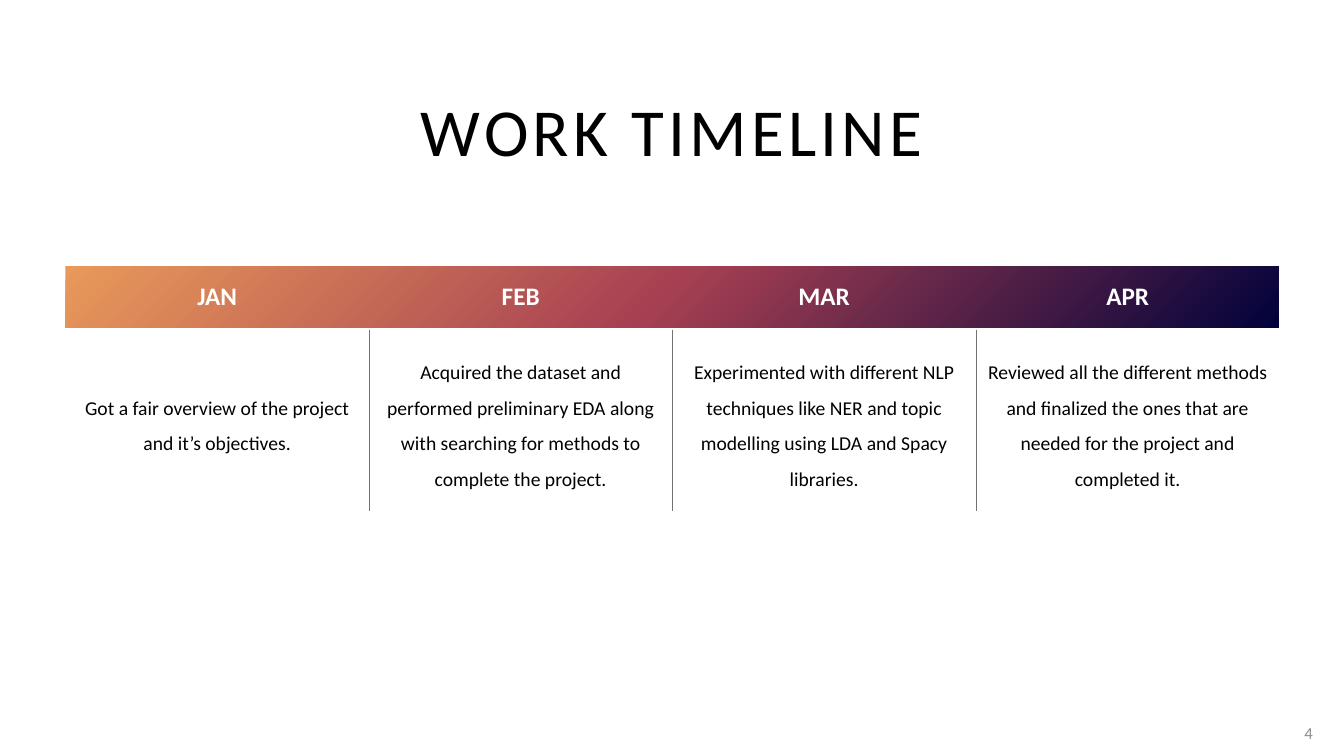
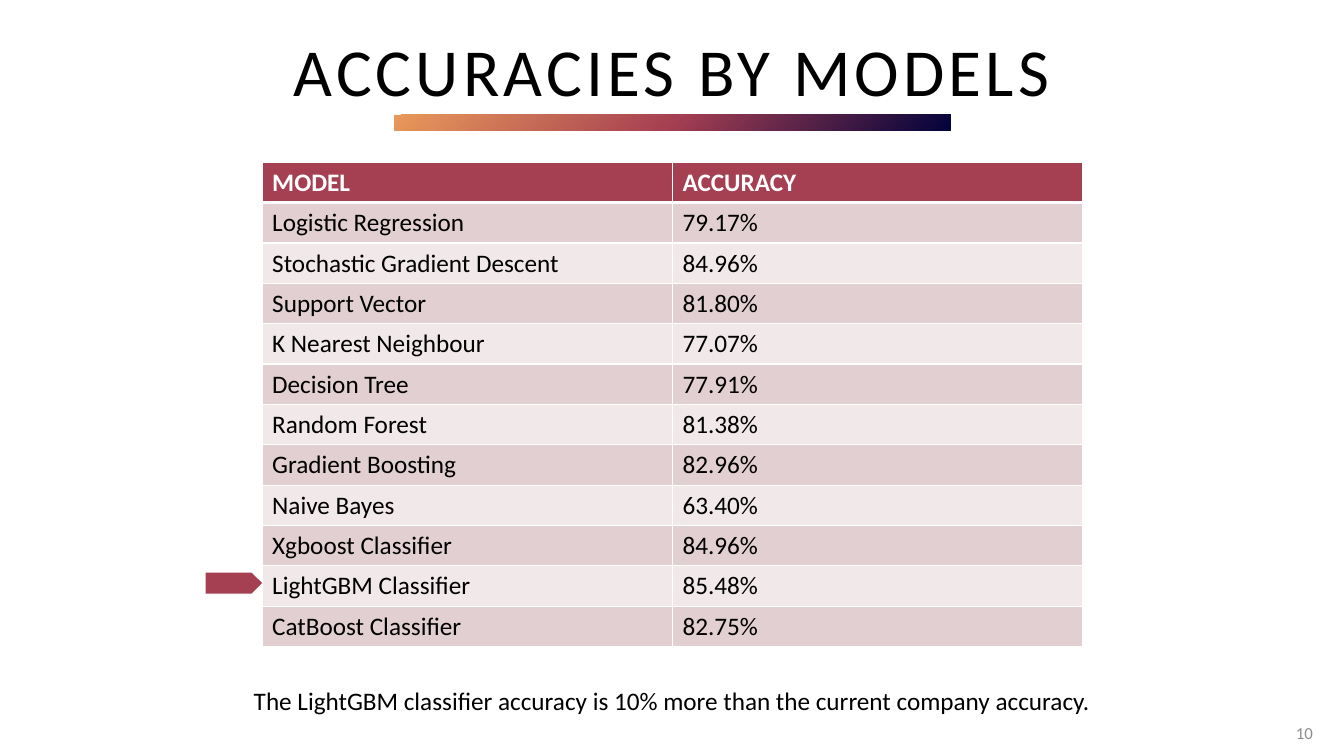
from lxml import etree
from pptx import Presentation
from pptx import util as u
from pptx.dml.color import RGBColor
from pptx.enum import shapes, text
from pptx.oxml.ns import nsdecls, qn

PX = 9144
FONT = "Calibri"
NAVY = RGBColor(0x01, 0x02, 0x3B)
CRIMSON = RGBColor(0xA5, 0x3F, 0x52)
ORANGE = RGBColor(0xE9, 0x99, 0x5A)
ROSE = RGBColor(0xE1, 0xCF, 0xD1)
PALE_ROSE = RGBColor(0xF0, 0xE8, 0xE9)
BLACK = RGBColor(0, 0, 0)
WHITE = RGBColor(0xFF, 0xFF, 0xFF)
RULE_GREY = RGBColor(0x76, 0x71, 0x71)
NUMBER_GREY = RGBColor(0x8C, 0x8C, 0x8C)
PLAIN_TABLE = "{2D5ABB26-0587-4C30-8999-92F81FD0307C}"

CENTER = text.PP_ALIGN.CENTER
LEFT = text.PP_ALIGN.LEFT
RIGHT = text.PP_ALIGN.RIGHT
MIDDLE = text.MSO_ANCHOR.MIDDLE
TOP = text.MSO_ANCHOR.TOP

TIMELINE = [
    ("JAN", "Got a fair overview of the project and it’s objectives."),
    ("FEB", "Acquired the dataset and performed preliminary EDA along with "
            "searching for methods to complete the project."),
    ("MAR", "Experimented with different NLP techniques like NER and topic "
            "modelling using LDA and Spacy libraries."),
    ("APR", "Reviewed all the different methods and finalized the ones that "
            "are needed for the project and completed it."),
]
ACCURACIES = [
    ("MODEL", "ACCURACY"),
    ("Logistic Regression", "79.17%"),
    ("Stochastic Gradient Descent", "84.96%"),
    ("Support Vector", "81.80%"),
    ("K Nearest Neighbour", "77.07%"),
    ("Decision Tree", "77.91%"),
    ("Random Forest", "81.38%"),
    ("Gradient Boosting", "82.96%"),
    ("Naive Bayes", "63.40%"),
    ("Xgboost Classifier", "84.96%"),
    ("LightGBM Classifier", "85.48%"),
    ("CatBoost Classifier", "82.75%"),
]


def px(*lengths):
    return [u.Emu(length * PX) for length in lengths]


def write(frame, words, size, color, align=LEFT, bold=False, spacing=None):
    paragraph = frame.paragraphs[0]
    paragraph.alignment = align
    paragraph.line_spacing = spacing
    font = paragraph.font
    font.name, font.size, font.bold = FONT, u.Pt(size), bold
    font.color.rgb = color
    run = paragraph.add_run()
    run.text = words
    return run


def add_text(slide, box, words, size, color, align, anchor=MIDDLE):
    frame = slide.shapes.add_textbox(*px(*box)).text_frame
    frame.word_wrap = True
    frame.vertical_anchor = anchor
    return write(frame, words, size, color, align)


def add_title(slide, top, words):
    title = add_text(slide, (65, top, 1203, 90), words, 48, BLACK, CENTER)
    title.font._element.set("spc", "300")


def add_page_number(slide, number):
    add_text(slide, (1263, 707, 49, 40), str(number), 12, NUMBER_GREY, RIGHT)


def add_block(slide, preset, box, color):
    block = slide.shapes.add_shape(preset, *px(*box))
    block.shadow.inherit = False
    block.fill.solid()
    block.fill.fore_color.rgb = color
    block.line.fill.background()
    return block


def add_gradient_band(slide, box):
    band = add_block(slide, shapes.MSO_SHAPE.RECTANGLE, box, CRIMSON)
    stops = "".join(
        f'<a:gs pos="{position}"><a:srgbClr val="{color}"/></a:gs>'
        for position, color in ((0, NAVY), (50000, CRIMSON), (100000, ORANGE)))
    gradient = etree.fromstring(
        f'<a:gradFill {nsdecls("a")} rotWithShape="1"><a:gsLst>{stops}</a:gsLst>'
        '<a:path path="circle"><a:fillToRect l="100000" t="100000"/></a:path>'
        '<a:tileRect r="-100000" b="-100000"/></a:gradFill>')
    properties = band._element.spPr
    properties.replace(properties.find(qn("a:solidFill")), gradient)


def add_plain_table(slide, left, top, column_width, columns, row_heights):
    box = px(left, top, column_width * columns, sum(row_heights))
    table = slide.shapes.add_table(len(row_heights), columns, *box).table
    table._tbl.tblPr.find(qn("a:tableStyleId")).text = PLAIN_TABLE
    for column in table.columns:
        column.width = u.Emu(column_width * PX)
    for row, height in zip(table.rows, row_heights):
        row.height = u.Emu(height * PX)
    return table


def set_borders(cell, color, widths):
    properties = cell._tc.get_or_add_tcPr()
    sides = [side for side in "LRTB" if side in widths]
    for index, side in enumerate(sides):
        properties.insert(index, etree.fromstring(
            f'<a:ln{side} {nsdecls("a")} w="{u.Pt(widths[side])}"><a:solidFill>'
            f'<a:srgbClr val="{color}"/></a:solidFill></a:ln{side}>'))


def build_timeline(slide):
    add_gradient_band(slide, (65, 264, 1203, 61))
    add_title(slide, 84, "WORK TIMELINE")
    table = add_plain_table(slide, 65, 263, 301, len(TIMELINE), (64, 180))
    last = len(TIMELINE) - 1
    for column, (month, work) in enumerate(TIMELINE):
        heading, body = table.cell(0, column), table.cell(1, column)
        for cell in (heading, body):
            cell.vertical_anchor = MIDDLE
            cell.fill.background()
        write(heading.text_frame, month, 18, WHITE, CENTER, bold=True)
        write(body.text_frame, work, 14, BLACK, CENTER, spacing=1.5)
        rules = {}
        if column > 0:
            rules["L"] = 0.25
        if column < last:
            rules["R"] = 0.25
        set_borders(body, RULE_GREY, rules)
    add_page_number(slide, 4)


def build_accuracies(slide):
    add_gradient_band(slide, (391, 114, 552, 16))
    add_title(slide, 24, "ACCURACIES BY MODELS")
    add_page_number(slide, 10)
    table = add_plain_table(slide, 260, 161, 407, 2, [40] * len(ACCURACIES))
    for row, entries in enumerate(ACCURACIES):
        header = row == 0
        fill = CRIMSON if header else (PALE_ROSE, ROSE)[row % 2]
        for column, entry in enumerate(entries):
            cell = table.cell(row, column)
            cell.vertical_anchor = TOP if header else MIDDLE
            cell.fill.solid()
            cell.fill.fore_color.rgb = fill
            write(cell.text_frame, entry, 18, WHITE if header else BLACK,
                  bold=header)
            set_borders(cell, WHITE, {"L": 1, "R": 1, "T": 3 if row == 1 else 1,
                                      "B": 3 if header else 1})
    add_block(slide, shapes.MSO_SHAPE.PENTAGON, (204, 568, 56, 21), CRIMSON)
    add_text(slide, (226, 675, 881, 40),
             "The LightGBM classifier accuracy is 10% more than the current "
             "company accuracy.", 18, BLACK, CENTER, TOP)


def main():
    deck = Presentation()
    deck.slide_width, deck.slide_height = u.Inches(13.33), u.Inches(7.5)
    for build in (build_timeline, build_accuracies):
        build(deck.slides.add_slide(deck.slide_layouts[6]))
    deck.save("out.pptx")


if __name__ == "__main__":
    main()
